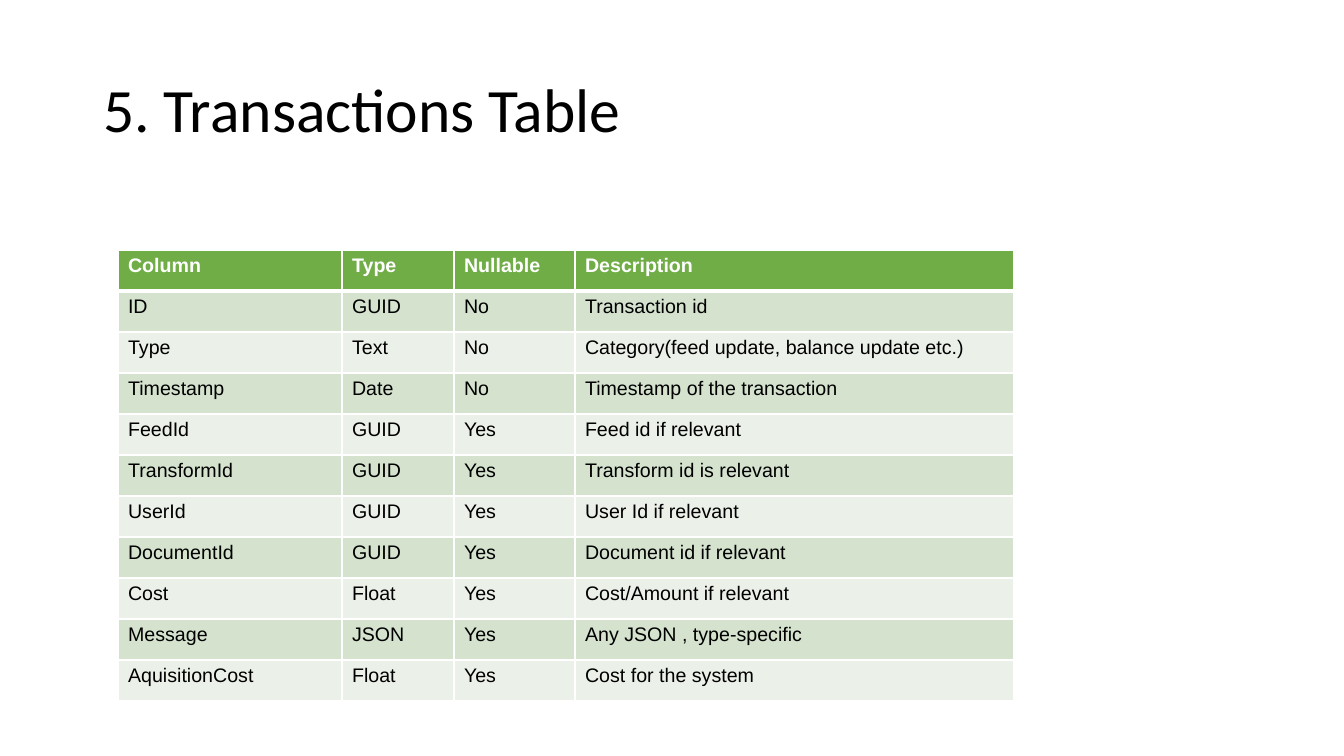
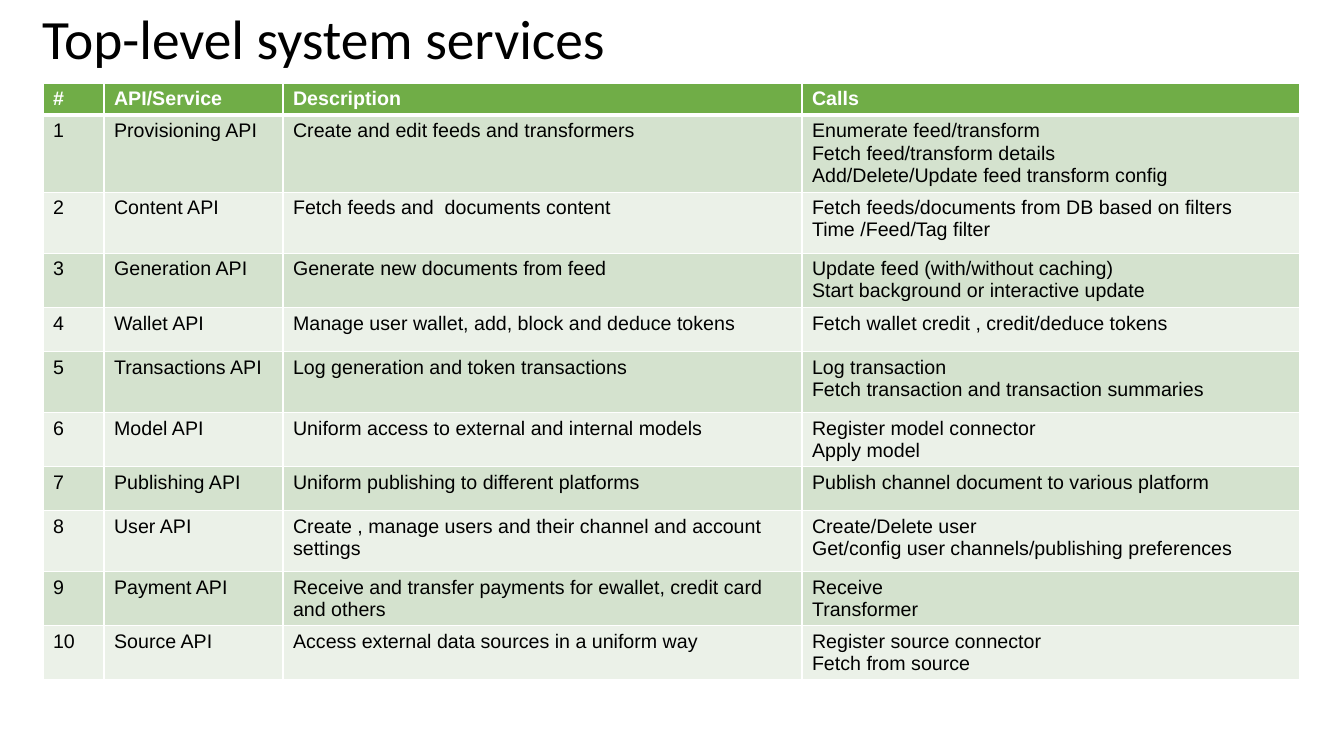
"""Build two slides that describe database columns and system services."""
import dataclasses

import lxml.etree
import pptx
import pptx.dml.color
import pptx.enum.text
import pptx.oxml.ns
import pptx.util


@dataclasses.dataclass(frozen=True)
class Theme:
    heading_font: str = "Calibri"
    table_font: str = "Arial"
    table_size: float = 14
    text: str = "000000"
    header_text: str = "FFFFFF"
    header_fill: str = "70AD47"
    row_fills: tuple = ("D4E2CE", "EBF1E8")
    border: str = "FFFFFF"
    thin_border: float = 1
    thick_border: float = 3


THEME = Theme()
EMU_PER_PX = 914400 / 100.8
SLIDE_SIZE = (1344, 756)
TITLE_ONLY_LAYOUT = 5

TRANSACTION_ROWS = [
    ("ID", "GUID", "No", "Transaction id"),
    ("Type", "Text", "No", "Category(feed update, balance update etc.)"),
    ("Timestamp", "Date", "No", "Timestamp of the transaction"),
    ("FeedId", "GUID", "Yes", "Feed id if relevant"),
    ("TransformId", "GUID", "Yes", "Transform id is relevant"),
    ("UserId", "GUID", "Yes", "User Id if relevant"),
    ("DocumentId", "GUID", "Yes", "Document id if relevant"),
    ("Cost", "Float", "Yes", "Cost/Amount if relevant"),
    ("Message", "JSON", "Yes", "Any JSON , type-specific"),
    ("AquisitionCost", "Float", "Yes", "Cost for the system"),
]

SERVICES = [
    ("Provisioning API", "Create and edit feeds and transformers",
     "Enumerate feed/transform\nFetch feed/transform details\n"
     "Add/Delete/Update feed transform config"),
    ("Content API", "Fetch feeds and  documents content",
     "Fetch feeds/documents from DB based on filters\nTime /Feed/Tag filter"),
    ("Generation API", "Generate new documents from feed",
     "Update feed (with/without caching)\nStart background or interactive update"),
    ("Wallet API", "Manage user wallet, add, block and deduce tokens",
     "Fetch wallet credit , credit/deduce tokens"),
    ("Transactions API", "Log generation and token transactions",
     "Log transaction\nFetch transaction and transaction summaries"),
    ("Model API", "Uniform access to external and internal models",
     "Register model connector\nApply model"),
    ("Publishing API", "Uniform publishing to different platforms",
     "Publish channel document to various platform"),
    ("User API", "Create , manage users and their channel and account settings",
     "Create/Delete user\nGet/config user channels/publishing preferences"),
    ("Payment API", "Receive and transfer payments for ewallet, credit card and others",
     "Receive\nTransformer"),
    ("Source API", "Access external data sources in a uniform way",
     "Register source connector\nFetch from source"),
]

SLIDES = [
    {
        "title": "5. Transactions Table",
        "title_box": (93, 40, 1159, 146),
        "title_size": 44,
        "table_origin": (118, 250),
        "columns": (224, 112, 121, 439),
        "row_heights": (41,) * 11,
        "rows": [("Column", "Type", "Nullable", "Description"), *TRANSACTION_ROWS],
    },
    {
        "title": "Top-level system services",
        "title_box": (32, 15, 1159, 54),
        "title_size": 39.6,
        "table_origin": (43, 83),
        "columns": (61, 179, 519, 498),
        "row_heights": (32, 77, 61, 54, 44, 61, 54, 44, 61, 54, 54),
        "rows": [
            ("#", "API/Service", "Description", "Calls"),
            *((str(number), *service) for number, service in enumerate(SERVICES, 1)),
        ],
    },
]


def px(length):
    """Turn a length in pixels into EMU."""
    return pptx.util.Emu(round(length * EMU_PER_PX))


def write_text(text_frame, text, *, font, size, color, bold=False, line_spacing=1.0):
    """Fill a text frame with left-aligned paragraphs, one for each line."""
    text_frame.text = text
    for paragraph in text_frame.paragraphs:
        paragraph.alignment = pptx.enum.text.PP_ALIGN.LEFT
        paragraph.line_spacing = line_spacing
        for run in paragraph.runs:
            run.font.name = font
            run.font.size = pptx.util.Pt(size)
            run.font.bold = bold
            run.font.color.rgb = pptx.dml.color.RGBColor.from_string(color)


def set_borders(cell, widths):
    """Draw the left, right, top and bottom borders of a cell."""
    properties = cell._tc.get_or_add_tcPr()
    for side, width in zip("LRTB", widths):
        line = lxml.etree.SubElement(
            properties, pptx.oxml.ns.qn(f"a:ln{side}"), w=str(pptx.util.Pt(width)))
        fill = lxml.etree.SubElement(line, pptx.oxml.ns.qn("a:solidFill"))
        lxml.etree.SubElement(fill, pptx.oxml.ns.qn("a:srgbClr"), val=THEME.border)


def format_cell(cell, text, row_index):
    """Write and colour one cell by its place in the table."""
    is_header = row_index == 0
    thin, thick = THEME.thin_border, THEME.thick_border
    top = thick if row_index == 1 else thin
    bottom = thick if is_header else thin
    set_borders(cell, (thin, thin, top, bottom))
    fill = THEME.header_fill if is_header else THEME.row_fills[(row_index - 1) % 2]
    cell.fill.solid()
    cell.fill.fore_color.rgb = pptx.dml.color.RGBColor.from_string(fill)
    write_text(cell.text_frame, text, font=THEME.table_font, size=THEME.table_size,
               color=THEME.header_text if is_header else THEME.text, bold=is_header)


def add_title(slide, text, box, size):
    """Place and format the title placeholder."""
    title = slide.shapes.title
    title.left, title.top, title.width, title.height = map(px, box)
    text_frame = title.text_frame
    text_frame.word_wrap = True
    text_frame.auto_size = pptx.enum.text.MSO_AUTO_SIZE.NONE
    text_frame.vertical_anchor = pptx.enum.text.MSO_ANCHOR.MIDDLE
    write_text(text_frame, text, font=THEME.heading_font, size=size,
               color=THEME.text, line_spacing=0.9)


def add_data_table(slide, origin, columns, row_heights, rows):
    """Add a table with a header row and alternating row fills."""
    frame = slide.shapes.add_table(
        len(rows), len(columns), *map(px, (*origin, sum(columns), sum(row_heights))))
    table = frame.table
    table.horz_banding = False
    for column, width in zip(table.columns, columns):
        column.width = px(width)
    for row_index, (row, height, texts) in enumerate(zip(table.rows, row_heights, rows)):
        row.height = px(height)
        for cell, text in zip(row.cells, texts):
            format_cell(cell, text, row_index)


def main():
    """Build and save the presentation."""
    presentation = pptx.Presentation()
    presentation.slide_width, presentation.slide_height = map(px, SLIDE_SIZE)
    layout = presentation.slide_layouts[TITLE_ONLY_LAYOUT]
    for content in SLIDES:
        slide = presentation.slides.add_slide(layout)
        add_title(slide, content["title"], content["title_box"], content["title_size"])
        add_data_table(slide, content["table_origin"], content["columns"],
                       content["row_heights"], content["rows"])
    presentation.save("out.pptx")


if __name__ == "__main__":
    main()
